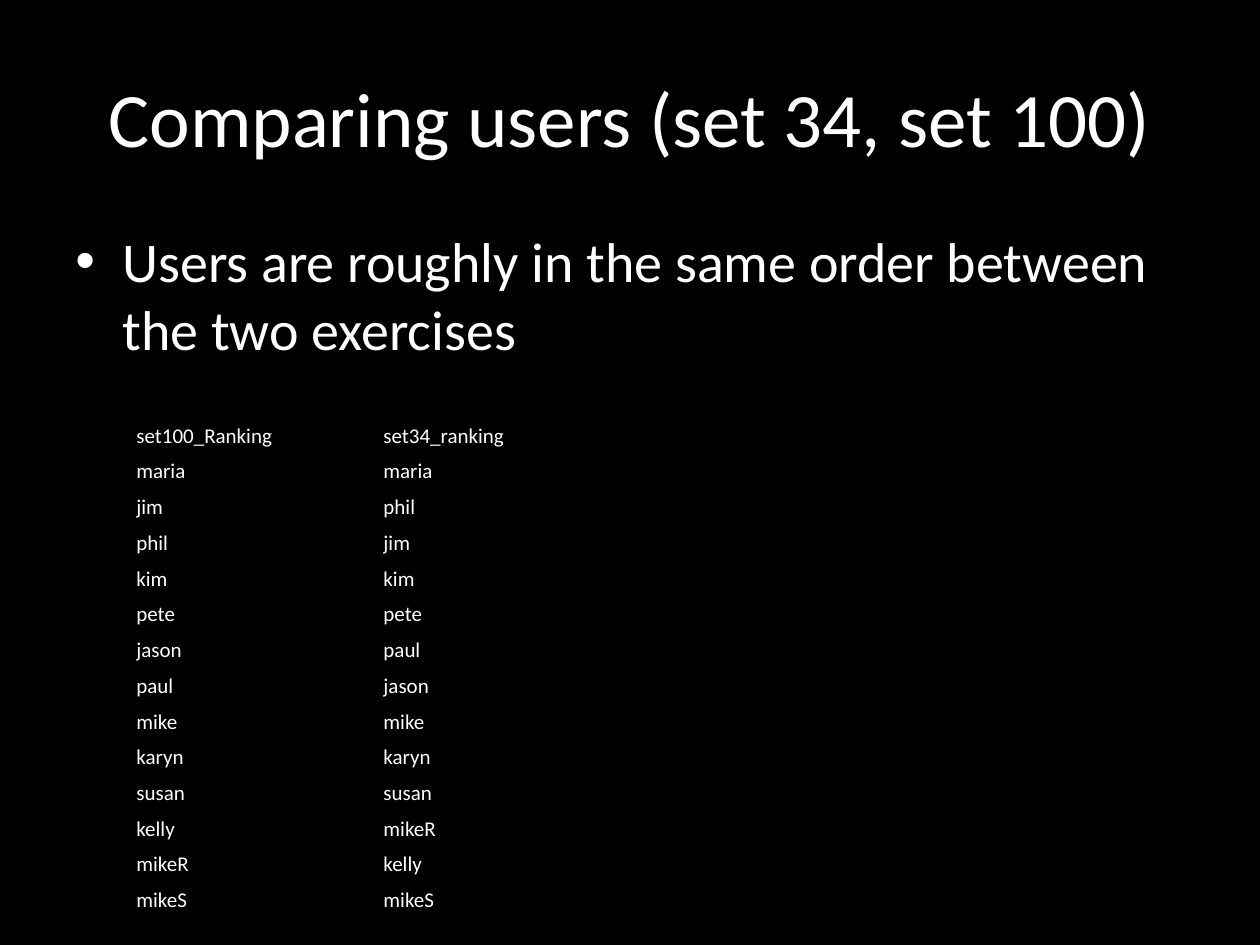
from dataclasses import dataclass

from lxml.etree import SubElement as Sub
from pptx import Presentation
from pptx.dml.color import RGBColor
from pptx.enum.text import MSO_ANCHOR as Anchor, PP_ALIGN as Align
from pptx.oxml.ns import qn
from pptx.util import Cm, Pt

BLACK = RGBColor(0, 0, 0)
WHITE = RGBColor(255, 255, 255)
FONT = "Calibri"


@dataclass
class Block:
    text: str
    top: float
    height: float
    size: int
    anchor: Anchor
    align: Align
    bullet: bool = False


BLOCKS = [
    Block("Comparing users (set 34, set 100)", 0.76, 3.18, 44,
          Anchor.MIDDLE, Align.CENTER),
    Block("Users are roughly in the same order between the two exercises",
          4.45, 4.45, 32, Anchor.TOP, Align.LEFT, True),
]

RANKS = {
    "set100_Ranking": "maria jim phil kim pete jason paul mike karyn susan "
                      "kelly mikeR mikeS",
    "set34_ranking": "maria phil jim kim pete paul jason mike karyn susan "
                     "mikeR kelly mikeS",
}
WIDTHS = [4.98, 4.62]
ROW = 0.72


def add_run(para, text: str, size: int) -> None:
    run = para.add_run()
    run.text = text
    run.font.name = FONT
    run.font.size = Pt(size)
    run.font.color.rgb = WHITE


def add_bullet(para) -> None:
    para.space_before = Pt(6.4)
    props = para._p.get_or_add_pPr()
    props.set("marL", str(Cm(0.95)))
    props.set("indent", str(Cm(-0.95)))
    Sub(props, qn("a:buFont"), typeface="Arial")
    Sub(props, qn("a:buChar"), char="•")


def add_block(slide, block: Block) -> None:
    box = slide.shapes.add_textbox(Cm(1.27), Cm(block.top),
                                   Cm(22.86), Cm(block.height))
    frame = box.text_frame
    frame.word_wrap = True
    frame.vertical_anchor = block.anchor
    para = frame.paragraphs[0]
    para.alignment = block.align
    if block.bullet:
        add_bullet(para)
    add_run(para, block.text, block.size)


def fill_cell(cell, text: str) -> None:
    cell.margin_left = cell.margin_right = cell.margin_top = Cm(0.03)
    cell.margin_bottom = Cm(0)
    cell.vertical_anchor = Anchor.BOTTOM
    props = cell._tc.get_or_add_tcPr()
    for side in "LRTB":
        line = Sub(props, qn(f"a:ln{side}"), w=str(Pt(0.5)))
        solid = Sub(line, qn("a:solidFill"))
        Sub(solid, qn("a:srgbClr"), val=str(BLACK))
    cell.fill.background()
    add_run(cell.text_frame.paragraphs[0], text, 12)


def add_ranks(slide) -> None:
    cols = [[head, *names.split()] for head, names in RANKS.items()]
    count = len(cols[0])
    table = slide.shapes.add_table(count, len(cols), Cm(2.72), Cm(8.33),
                                   Cm(sum(WIDTHS)), Cm(ROW * count)).table
    table.first_row = table.horz_banding = False
    for row in table.rows:
        row.height = Cm(ROW)
    for x, (width, names) in enumerate(zip(WIDTHS, cols)):
        table.columns[x].width = Cm(width)
        for y, name in enumerate(names):
            fill_cell(table.cell(y, x), name)


deck = Presentation()
deck.slide_width, deck.slide_height = Cm(25.4), Cm(19.05)
slide = deck.slides.add_slide(deck.slide_layouts[6])
slide.background.fill.solid()
slide.background.fill.fore_color.rgb = BLACK
for block in BLOCKS:
    add_block(slide, block)
add_ranks(slide)
deck.save("out.pptx")
